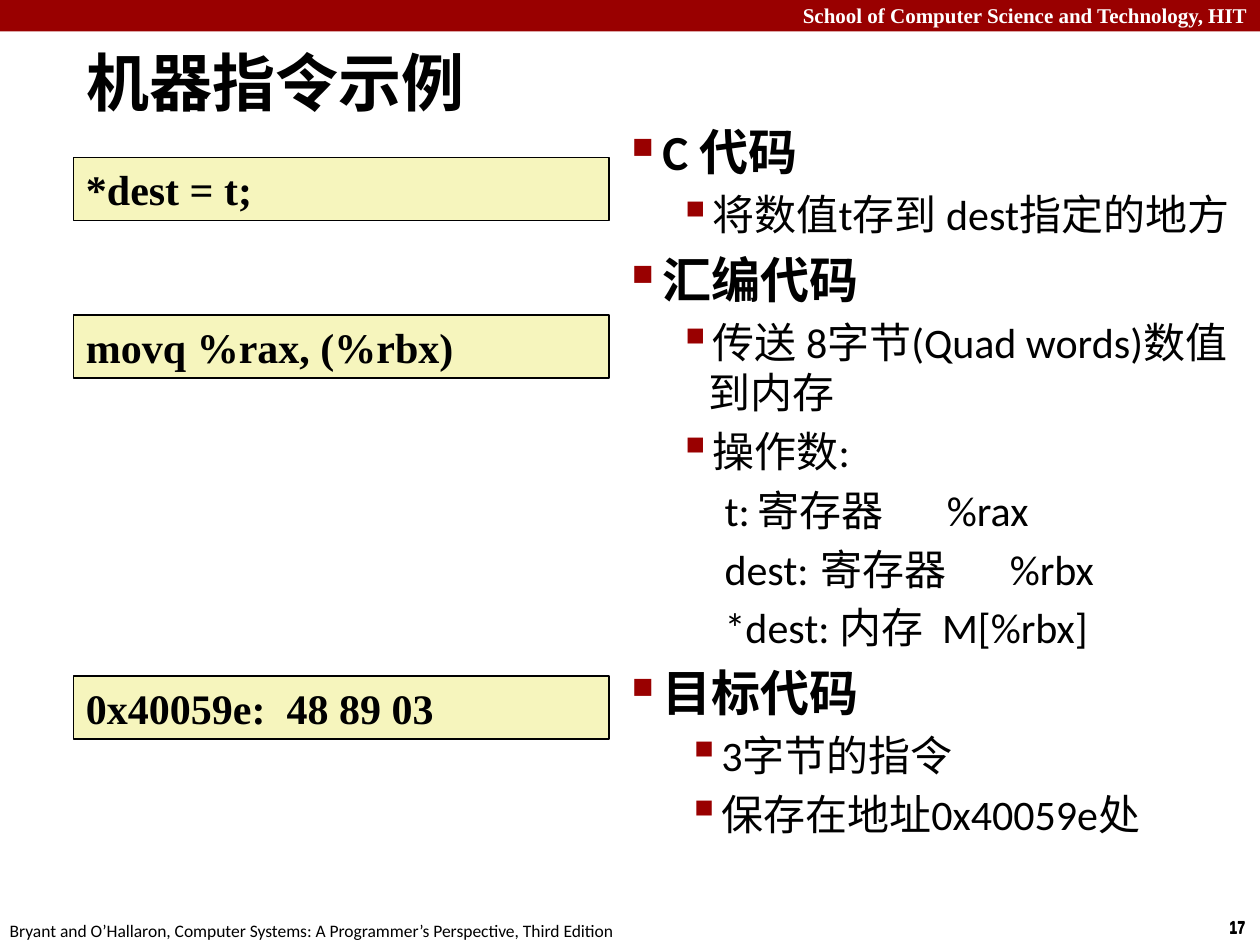
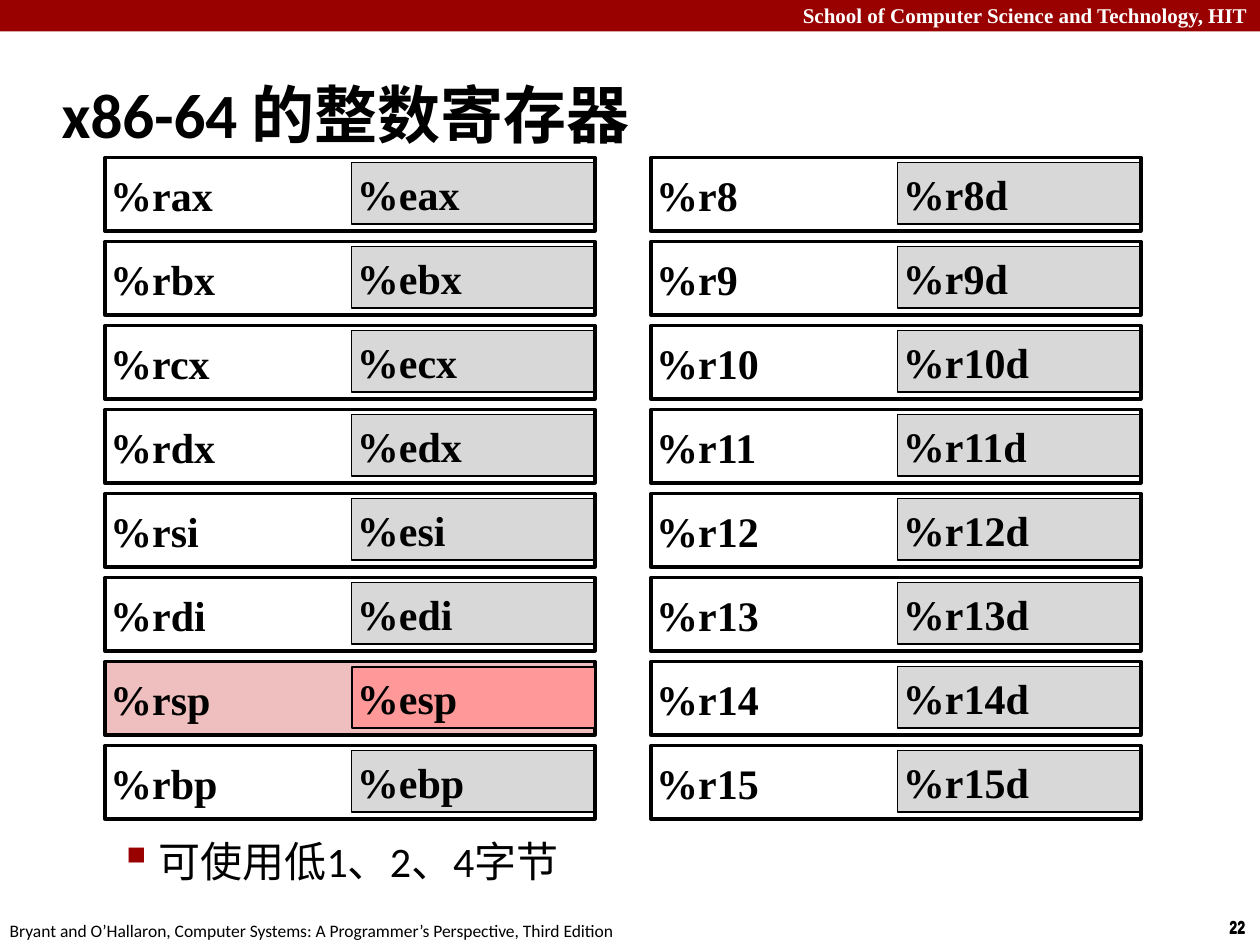
from dataclasses import dataclass
from typing import Optional

from lxml import etree
from pptx import Presentation
from pptx.dml.color import RGBColor
from pptx.enum.shapes import MSO_SHAPE
from pptx.enum.text import MSO_ANCHOR, MSO_AUTO_SIZE, PP_ALIGN
from pptx.oxml.ns import qn
from pptx.util import Pt

RECTANGLE = MSO_SHAPE.RECTANGLE
TOP, MIDDLE = MSO_ANCHOR.TOP, MSO_ANCHOR.MIDDLE
LEFT, RIGHT = PP_ALIGN.LEFT, PP_ALIGN.RIGHT
NO_AUTOFIT = MSO_AUTO_SIZE.NONE
TITLE_ONLY = 5

BLACK = RGBColor(0x00, 0x00, 0x00)
WHITE = RGBColor(0xFF, 0xFF, 0xFF)
CRIMSON = RGBColor(0x99, 0x00, 0x00)
CODE_YELLOW = RGBColor(0xF6, 0xF5, 0xBD)
LOW_GREY = RGBColor(0xD8, 0xD8, 0xD8)
STACK_PINK = RGBColor(0xEF, 0xBF, 0xBF)
STACK_RED = RGBColor(0xFF, 0x99, 0x99)

SANS = "Calibri"
SERIF = "Times New Roman"
NARROW = "Arial Narrow"

SCHOOL = "School of Computer Science and Technology, HIT"
CITATION = ("Bryant and O’Hallaron, Computer Systems: "
            "A Programmer’s Perspective, Third Edition")


@dataclass(frozen=True)
class Area:
    left: float
    top: float
    width: float
    height: float

    def lengths(self) -> tuple:
        return Pt(self.left), Pt(self.top), Pt(self.width), Pt(self.height)


@dataclass(frozen=True)
class Type:
    font: str
    size: float
    bold: bool = False
    color: RGBColor = BLACK


@dataclass(frozen=True)
class Level:
    type: Type
    margin: float
    indent: float
    depth: int = 0
    bullet: str = ""
    bullet_percent: int = 100
    tabs: tuple = ()


@dataclass(frozen=True)
class Line:
    level: Level
    text: str


@dataclass(frozen=True)
class Panel:
    area: Area
    text: str
    fill: Optional[RGBColor]
    border: float
    anchor: int = MIDDLE
    inset_x: float = 3
    inset_y: float = 3


TITLE_TYPE = Type(SANS, 36, True)
CODE_TYPE = Type(SERIF, 24, True)
DETAIL_TYPE = Type(SANS, 24)
HEADER_TYPE = Type(SERIF, 12, True, WHITE)
NUMBER_TYPE = Type(NARROW, 10, True)
CITATION_TYPE = Type(SANS, 10)

TITLE_LEVEL = Level(TITLE_TYPE, 9, -9)
TOPIC = Level(Type(SANS, 28, True), 17.5, -17.5, 0, "■", 60)
DETAIL = Level(DETAIL_TYPE, 44, -17.5, 1, "▪", 110)
DEEP_DETAIL = Level(DETAIL_TYPE, 49, -17.5, 1, "▪", 110)
OPERAND = Level(DETAIL_TYPE, 0, 53, 2, tabs=(137, 278))
NOTE = Level(DETAIL_TYPE, 58.5, -22.5, 1, "▪", 110)

EXPLANATION = (
    Line(TOPIC, "C 代码"),
    Line(DETAIL, "将数值t存到 dest指定的地方"),
    Line(TOPIC, "汇编代码"),
    Line(DETAIL, "传送 8字节(Quad words)数值到内存"),
    Line(DETAIL, "操作数:"),
    Line(OPERAND, "t:\t寄存器\t%rax"),
    Line(OPERAND, "dest:\t寄存器\t%rbx"),
    Line(OPERAND, "*dest: 内存  M[%rbx]"),
    Line(TOPIC, "目标代码"),
    Line(DEEP_DETAIL, "3字节的指令"),
    Line(DEEP_DETAIL, "保存在地址0x40059e处"),
)
CODE_SAMPLES = (
    (90, "*dest = t;"),
    (180, "movq %rax, (%rbx)"),
    (386.5, "0x40059e:  48 89 03"),
)

NAMED_REGISTERS = [(f"%r{name}", f"%e{name}") for name in
                   ("ax", "bx", "cx", "dx", "si", "di", "sp", "bp")]
NUMBERED_REGISTERS = [(f"%r{index}", f"%r{index}d") for index in range(8, 16)]
REGISTER_COLUMNS = ((60, NAMED_REGISTERS), (372, NUMBERED_REGISTERS))
REGISTER_TOP, REGISTER_STEP = 90, 48
STACK_POINTER = "%rsp"


def add_span(para, text: str, kind: Type) -> None:
    span = para.add_run()
    span.text = text
    span.font.name = kind.font
    span.font.size = Pt(kind.size)
    span.font.bold = kind.bold
    span.font.color.rgb = kind.color


def apply_level(para, level: Level) -> None:
    para.level = level.depth
    para.alignment = LEFT
    props = para._p.get_or_add_pPr()
    props.set("marL", str(Pt(level.margin)))
    props.set("indent", str(Pt(level.indent)))
    if level.bullet:
        color = etree.SubElement(props, qn("a:buClr"))
        etree.SubElement(color, qn("a:srgbClr"), val=str(CRIMSON))
        etree.SubElement(props, qn("a:buSzPct"),
                         val=str(level.bullet_percent * 1000))
        etree.SubElement(props, qn("a:buChar"), char=level.bullet)
    if level.tabs:
        tabs = etree.SubElement(props, qn("a:tabLst"))
        for position in level.tabs:
            etree.SubElement(tabs, qn("a:tab"), pos=str(Pt(position)), algn="l")


def add_label(page, area: Area, text: str, kind: Type,
              align: int = LEFT, wrap: bool = False) -> None:
    box = page.shapes.add_textbox(*area.lengths())
    box.text_frame.word_wrap = wrap
    para = box.text_frame.paragraphs[0]
    para.alignment = align
    add_span(para, text, kind)


def add_outline(page, area: Area, lines: tuple) -> None:
    frame = page.shapes.add_textbox(*area.lengths()).text_frame
    frame.word_wrap = True
    for index, line in enumerate(lines):
        para = frame.add_paragraph() if index else frame.paragraphs[0]
        apply_level(para, line.level)
        if index:
            para.space_before = Pt(0.2 * line.level.type.size)
        add_span(para, line.text, line.level.type)


def add_rectangle(page, area: Area, fill: Optional[RGBColor]):
    box = page.shapes.add_shape(RECTANGLE, *area.lengths())
    box.shadow.inherit = False
    if fill is None:
        box.fill.background()
    else:
        box.fill.solid()
        box.fill.fore_color.rgb = fill
    return box


def add_panel(page, panel: Panel) -> None:
    box = add_rectangle(page, panel.area, panel.fill)
    box.line.color.rgb = BLACK
    box.line.width = Pt(panel.border)
    frame = box.text_frame
    frame.word_wrap = True
    frame.vertical_anchor = panel.anchor
    frame.margin_left = frame.margin_right = Pt(panel.inset_x)
    frame.margin_top = frame.margin_bottom = Pt(panel.inset_y)
    para = frame.paragraphs[0]
    para.alignment = LEFT
    add_span(para, panel.text, CODE_TYPE)


def add_page(deck, title: str, title_area: Area, number: int):
    page = deck.slides.add_slide(deck.slide_layouts[TITLE_ONLY])
    band = add_rectangle(page, Area(0, 0, 720, 18), CRIMSON)
    band.line.fill.background()
    add_label(page, Area(0, -2, 720, 21.5), SCHOOL, HEADER_TYPE, RIGHT, True)
    for top in (520.5, 520):
        add_label(page, Area(695.5, top, 24.5, 19.5), str(number), NUMBER_TYPE)
    add_label(page, Area(-1.5, 522, 366, 19.5), CITATION, CITATION_TYPE)

    heading = page.shapes.title
    heading.left, heading.top, heading.width, heading.height = title_area.lengths()
    frame = heading.text_frame
    frame.auto_size = NO_AUTOFIT
    frame.word_wrap = True
    frame.vertical_anchor = MIDDLE
    apply_level(frame.paragraphs[0], TITLE_LEVEL)
    add_span(frame.paragraphs[0], title, TITLE_TYPE)
    return page


def add_register(page, left: float, top: float, full: str, low: str) -> None:
    is_stack = full == STACK_POINTER
    low_panel = Panel(Area(left + 141, top + 3, 139, 35), low,
                      STACK_RED if is_stack else LOW_GREY,
                      1 if is_stack else 0.75)
    full_panel = Panel(Area(left, top, 280, 42), full,
                       STACK_PINK if is_stack else None, 2)
    panels = (full_panel, low_panel) if is_stack else (low_panel, full_panel)
    for panel in panels:
        add_panel(page, panel)


def build_instruction_page(deck) -> None:
    page = add_page(deck, "机器指令示例", Area(42, 24, 572, 45), 17)
    add_outline(page, Area(354, 66, 366, 456), EXPLANATION)
    for top, code in CODE_SAMPLES:
        add_panel(page, Panel(Area(42, top, 306, 36), code, CODE_YELLOW, 1,
                              TOP, 7.2, 3.6))


def build_register_page(deck) -> None:
    page = add_page(deck, "x86-64 的整数寄存器", Area(28, 34.5, 692, 60), 22)
    add_outline(page, Area(25, 474, 577, 30),
                (Line(NOTE, "可使用低1、2、4字节"),))
    for left, registers in REGISTER_COLUMNS:
        for row, (full, low) in enumerate(registers):
            add_register(page, left, REGISTER_TOP + row * REGISTER_STEP, full, low)


def main() -> None:
    deck = Presentation()
    deck.slide_width, deck.slide_height = Pt(720), Pt(540)
    build_instruction_page(deck)
    build_register_page(deck)
    deck.save("out.pptx")


if __name__ == "__main__":
    main()
